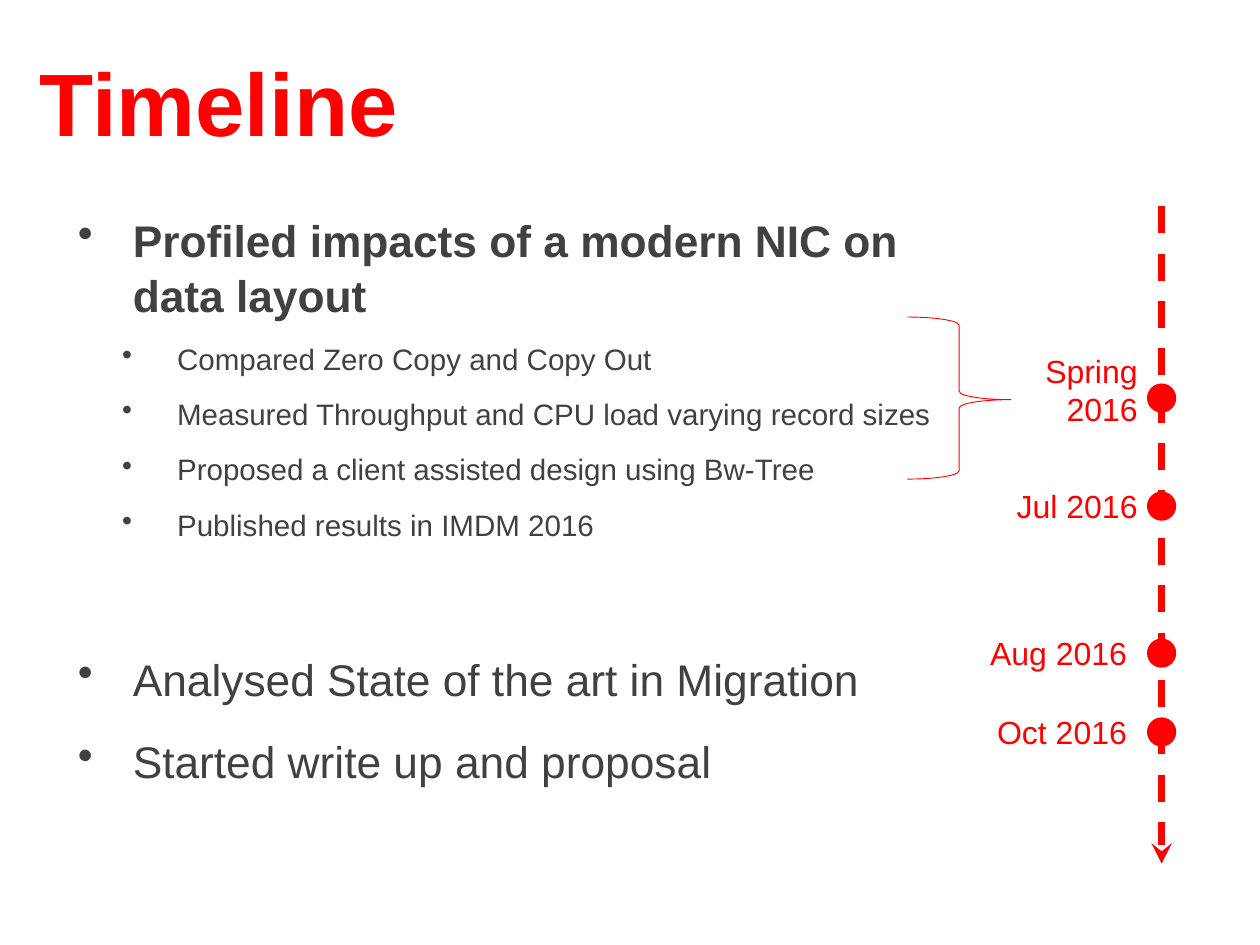
from lxml import etree
from pptx import Presentation
from pptx.dml.color import RGBColor
from pptx.enum import dml, shapes, text
from pptx.oxml import ns
from pptx.util import Inches, Pt

RED = RGBColor(0xFF, 0x00, 0x00)
GREY = RGBColor(0x41, 0x41, 0x41)
FONT = "Arial"
AXIS_X = 13.11
DOT_SIZE = 0.33

# Text, level, bold, line spacing, space before in points
BULLETS = [
    ("Profiled impacts of a modern NIC on data layout", 0, True, 1.04, 2),
    ("Compared Zero Copy and Copy Out", 1, False, 1.56, 0),
    ("Measured Throughput and CPU load varying record sizes", 1, False, 1.56, 0),
    ("Proposed a client assisted design using Bw-Tree", 1, False, 1.56, 0),
    ("Published results in IMDM 2016", 1, False, 1.56, 0),
    ("Analysed State of the art in Migration", 0, False, 1.56, 65),
    ("Started write up and proposal", 0, False, 1.56, 0),
]

# Label, its left, top, width and height, and the top of its dot
MILESTONES = [
    ("Spring 2016", 11.4, 3.92, 1.54, 0.98, 4.33),
    ("Jul 2016", 11.08, 5.45, 1.86, 0.54, 5.55),
    ("Aug 2016", 10.44, 7.11, 2.38, 0.54, 7.21),
    ("Oct 2016", 10.96, 8, 1.86, 0.54, 8.1),
]


def style_font(paragraph, size, color, bold=False):
    font = paragraph.font
    font.name, font.size, font.bold = FONT, Pt(size), bold
    font.color.rgb = color


def add_text_frame(slide, left, top, width, height):
    box = slide.shapes.add_textbox(*map(Inches, (left, top, width, height)))
    box.text_frame.word_wrap = True
    return box.text_frame


def set_title(slide, wording):
    title = slide.shapes.title
    title.left, title.top, title.width, title.height = map(
        Inches, (0.39, 0.42, 13.44, 1.38))
    frame = title.text_frame
    frame.text = wording
    frame.vertical_anchor = text.MSO_ANCHOR.BOTTOM
    frame.margin_left = frame.margin_right = Inches(0.06)
    frame.margin_top = frame.margin_bottom = Inches(0.06)
    paragraph = frame.paragraphs[0]
    paragraph.alignment = text.PP_ALIGN.LEFT
    style_font(paragraph, 72, RED, bold=True)


def add_bullet(paragraph, wording, level, bold, line_spacing, space_before):
    paragraph.text = wording
    paragraph.level = level
    paragraph.line_spacing = line_spacing
    paragraph.space_before = Pt(space_before)
    style_font(paragraph, 24 if level else 36, GREY, bold)
    properties = paragraph._p.get_or_add_pPr()
    properties.set("marL", str(Inches(0.62 + 0.5 * level)))
    properties.set("indent", str(Inches(-0.62)))
    bullet = etree.Element(ns.qn("a:buChar"), char="•")
    properties.find(ns.qn("a:defRPr")).addprevious(bullet)


def add_bullet_list(slide):
    frame = add_text_frame(slide, 0.78, 2.33, 10.08, 6.46)
    for index, bullet in enumerate(BULLETS):
        paragraph = frame.add_paragraph() if index else frame.paragraphs[0]
        add_bullet(paragraph, *bullet)


def add_time_axis(slide):
    x = Inches(AXIS_X)
    axis = slide.shapes.add_connector(
        shapes.MSO_CONNECTOR.STRAIGHT, x, Inches(2.33), x, Inches(9.75))
    axis.line.color.rgb = RED
    axis.line.width = Pt(5.5)
    axis.line.dash_style = dml.MSO_LINE.DASH
    etree.SubElement(axis.line._get_or_add_ln(), ns.qn("a:tailEnd"), type="stealth")
    etree.SubElement(axis._element.spPr, ns.qn("a:effectLst"))


def add_brace(slide):
    brace = slide.shapes.add_shape(
        shapes.MSO_SHAPE.RIGHT_BRACE, *map(Inches, (10.24, 3.58, 1.17, 1.83)))
    brace.adjustments[0], brace.adjustments[1] = 0.08, 0.51
    brace.shadow.inherit = False
    brace.fill.background()
    brace.line.color.rgb = RED
    brace.line.width = Pt(0.75)


def add_milestone(slide, label, left, top, width, height, dot_top):
    dot = slide.shapes.add_shape(
        shapes.MSO_SHAPE.OVAL, Inches(AXIS_X - DOT_SIZE / 2), Inches(dot_top),
        Inches(DOT_SIZE), Inches(DOT_SIZE))
    dot.shadow.inherit = False
    dot.fill.solid()
    dot.fill.fore_color.rgb = RED
    dot.line.fill.background()

    paragraph = add_text_frame(slide, left, top, width, height).paragraphs[0]
    paragraph.text = label
    paragraph.alignment = text.PP_ALIGN.RIGHT
    style_font(paragraph, 26, RED)


def main():
    presentation = Presentation()
    presentation.slide_width = Inches(14.22)
    presentation.slide_height = Inches(10.67)
    slide = presentation.slides.add_slide(presentation.slide_layouts[5])

    # Title and work done
    set_title(slide, "Timeline")
    add_bullet_list(slide)

    # Timeline with its dates
    add_time_axis(slide)
    add_brace(slide)
    for milestone in MILESTONES:
        add_milestone(slide, *milestone)

    presentation.save("out.pptx")


if __name__ == "__main__":
    main()
